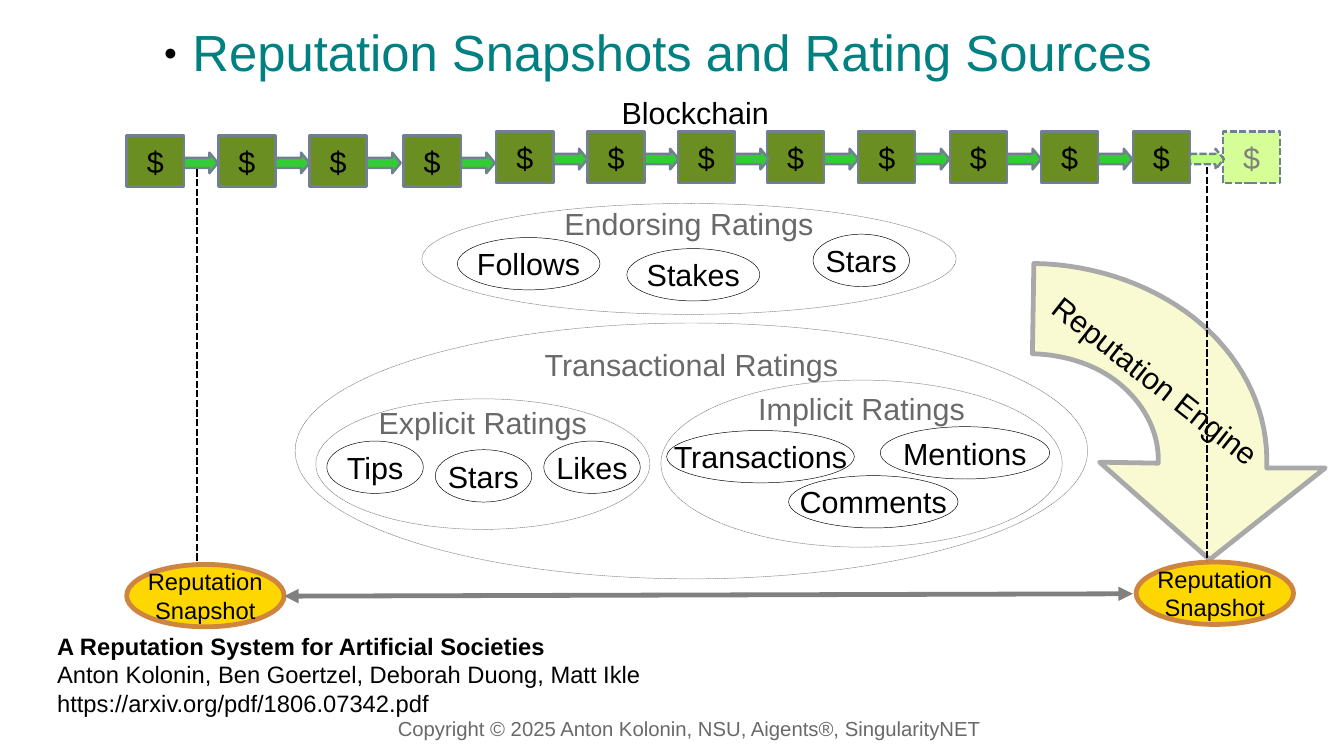
from lxml.etree import SubElement
from pptx import Presentation
from pptx.dml.color import RGBColor
from pptx.enum.dml import MSO_LINE_DASH_STYLE as Dash
from pptx.enum.shapes import MSO_CONNECTOR as Connector, MSO_SHAPE as Preset
from pptx.enum.text import MSO_ANCHOR as Anchor, MSO_AUTO_SIZE as AutoSize, PP_ALIGN as Align
from pptx.oxml.ns import qn
from pptx.util import Cm, Pt

TITLE = "Reputation Snapshots and Rating Sources"
CITATION = [
    "A Reputation System for Artificial Societies",
    "Anton Kolonin, Ben Goertzel, Deborah Duong, Matt Ikle",
    "https://arxiv.org/pdf/1806.07342.pdf",
]
COPYRIGHT = "Copyright © 2025 Anton Kolonin, NSU, Aigents®, SingularityNET"

# All positions and sizes are in centimetres.
BLOCK_LEFTS = [2.64, 4.55, 6.45, 8.41, 10.34, 12.24, 14.12,
               15.98, 17.88, 19.79, 21.69, 23.6, 25.48]
BLOCK_WIDTH, BLOCK_HEIGHT = 1.19, 1.07
LOWER_BLOCKS, LOWER_TOP, UPPER_TOP = 4, 2.82, 2.74
LINK_WIDTH, LINK_HEIGHT, LINK_DROP = 0.71, 0.43, 0.36

RATING_GROUPS = [  # label, left, top, width, height
    ("Endorsing Ratings", 8.79, 4.24, 11.13, 2.31),
    ("Transactional Ratings", 6.15, 6.73, 16.51, 5.33),
    ("Explicit Ratings", 6.58, 8.31, 6.96, 2.72),
    ("Implicit Ratings", 13.77, 7.92, 8.36, 3.48),
]
RATING_HEIGHT = 1.09
RATINGS = [  # label, left, top, width
    ("Follows", 9.53, 4.95, 2.97),
    ("Stakes", 13.06, 5.18, 2.77),
    ("Stars", 16.94, 4.88, 2.01),
    ("Tips", 6.81, 9.19, 2.01),
    ("Stars", 9.07, 9.37, 2.01),
    ("Likes", 11.33, 9.19, 2.01),
    ("Transactions", 13.89, 8.97, 3.91),
    ("Mentions", 18.34, 8.89, 3.53),
    ("Comments", 16.43, 9.91, 3.53),
]
SNAPSHOTS = [(2.64, 11.76), (23.67, 11.71)]
SNAPSHOT_LINES = [(4.11, 3.53, 4.11, 11.73), (25.15, 3.48, 25.15, 11.68)]
SNAPSHOT_SPAN = (5.92, 12.42, 23.6, 12.37)

# One point is a straight side; three points are a cubic curve.
ENGINE_START = (24.13, 9.65)
ENGINE_SIDES = [
    [(24.16, 9.07), (23.88, 8.48), (23.39, 8.05)],
    [(22.91, 7.62), (22.22, 7.39), (21.51, 7.37)],
    [(21.54, 5.49)],
    [(22.86, 5.51), (24.13, 5.97), (25.04, 6.76)],
    [(25.96, 7.57), (26.44, 8.64), (26.39, 9.75)],
    [(27.61, 9.75)],
    [(25.2, 11.66)],
    [(22.91, 9.63)],
]
CURVE_STEPS = 16


def rgb(color):
    return RGBColor.from_string(color)


def style_line(line, color, width, dashed=False):
    line.color.rgb = rgb(color)
    line.width = Pt(width)
    if dashed:
        line.dash_style = Dash.SQUARE_DOT


def style_shape(shape, fill, line, width, dashed=False, alpha=None):
    shape.shadow.inherit = False
    if fill:
        shape.fill.solid()
        shape.fill.fore_color.rgb = rgb(fill)
    else:
        shape.fill.background()
    if alpha:
        solid = shape._element.spPr.find(qn("a:solidFill"))
        SubElement(solid[0], qn("a:alpha"), val=str(alpha * 1000))
    style_line(shape.line, line, width, dashed)


def write(shape, lines, size=18, color="000000", align=Align.CENTER, anchor=Anchor.MIDDLE,
          margins=(0, 0, 0, 0), wrap=False, after=0):
    """Fill the shape with one paragraph per line; margins run left, top, right, bottom."""
    frame = shape.text_frame
    frame.auto_size = AutoSize.NONE
    frame.word_wrap = wrap
    frame.vertical_anchor = anchor
    (frame.margin_left, frame.margin_top,
     frame.margin_right, frame.margin_bottom) = map(Cm, margins)
    frame.text = "\n".join(lines)
    for paragraph in frame.paragraphs:
        paragraph.alignment = align
        paragraph.space_after = Pt(after)
        paragraph.font.name = "Arial"
        paragraph.font.size = Pt(size)
        paragraph.font.color.rgb = rgb(color)
    return frame


def add_preset(slide, preset, *box):
    return slide.shapes.add_shape(preset, *map(Cm, box))


def add_label(slide, box, lines, **options):
    label = slide.shapes.add_textbox(*map(Cm, box))
    write(label, lines, **options)
    return label


def add_line(slide, ends, color, width, dashed=False):
    connector = slide.shapes.add_connector(Connector.STRAIGHT, *map(Cm, ends))
    style_line(connector.line, color, width, dashed)
    SubElement(connector._element.spPr, qn("a:effectLst"))
    return connector


def curve_points(start, first, second, end):
    for step in range(1, CURVE_STEPS + 1):
        t = step / CURVE_STEPS
        weights = ((1 - t) ** 3, 3 * t * (1 - t) ** 2, 3 * t * t * (1 - t), t ** 3)
        yield tuple(sum(w * point[axis] for w, point in zip(weights, (start, first, second, end)))
                    for axis in (0, 1))


def add_title(slide):
    title = slide.shapes.title
    title.left, title.top, title.width, title.height = map(Cm, (-0.41, -0.03, 27.99, 2.29))
    frame = write(title, [TITLE], 30, "008080", margins=(0.25, 0.18, 0, 0.13), wrap=True)
    paragraph = frame.paragraphs[0]
    paragraph.line_spacing = 0.93
    properties = paragraph._p.get_or_add_pPr()
    properties.set("marL", str(Cm(0.6)))
    properties.set("indent", str(Cm(-0.6)))
    bullet_color = properties.makeelement(qn("a:buClr"))
    SubElement(bullet_color, qn("a:srgbClr"), val="000000")
    bullet = [bullet_color,
              properties.makeelement(qn("a:buSzPct"), val="45000"),
              properties.makeelement(qn("a:buFont"), typeface="Arial"),
              properties.makeelement(qn("a:buChar"), char="●")]
    for old in properties.findall(qn("a:buNone")):
        properties.remove(old)
    for element in bullet:
        properties.find(qn("a:defRPr")).addprevious(element)


def add_engine(slide):
    points = [ENGINE_START]
    for side in ENGINE_SIDES:
        points += curve_points(points[-1], *side) if len(side) == 3 else side
    corners = [(Cm(x), Cm(y)) for x, y in points]
    builder = slide.shapes.build_freeform(*corners[0])
    builder.add_line_segments(corners[1:], close=True)
    style_shape(builder.convert_to_shape(), "FAFAD2", "A9A9A9", 2.83)


def add_blockchain(slide):
    last = len(BLOCK_LEFTS) - 1
    tops = [LOWER_TOP if i < LOWER_BLOCKS else UPPER_TOP for i in range(last + 1)]
    for i, (left, top) in enumerate(zip(BLOCK_LEFTS, tops)):
        pending = i == last
        block = add_preset(slide, Preset.RECTANGLE, left, top, BLOCK_WIDTH, BLOCK_HEIGHT)
        style_shape(block, "ADFF2F" if pending else "6B8E23", "708090", 1.42,
                    pending, 50 if pending else None)
        write(block, ["$"], color="808080" if pending else "000000",
              margins=(0.23, 0.1, 0.23, 0.1), after=11.3)
    for i, (left, top) in enumerate(zip(BLOCK_LEFTS[:-1], tops)):
        pending = i == last - 1
        link = add_preset(slide, Preset.RIGHT_ARROW, left + BLOCK_WIDTH, top + LINK_DROP,
                          LINK_WIDTH, LINK_HEIGHT)
        link.adjustments[1] = 0.41
        style_shape(link, "7FFF00" if pending else "32CD32", "708090", 1.42,
                    pending, 50 if pending else None)
    add_label(slide, (12.7, 1.83, 3.58, 0.97), ["Blockchain"], align=Align.LEFT,
              anchor=Anchor.TOP, margins=(0.25, 0.13, 0.25, 0.13))


def add_snapshots(slide):
    for left, top in SNAPSHOTS:
        snapshot = add_preset(slide, Preset.OVAL, left, top, 3.28, 1.3)
        style_shape(snapshot, "FFD700", "CD853F", 2.83)
        write(snapshot, ["Reputation", "Snapshot"], 14, margins=(0.25, 0.13, 0.25, 0.13))
    for ends in SNAPSHOT_LINES:
        add_line(slide, ends, "000000", 1.42, dashed=True)
    span = add_line(slide, SNAPSHOT_SPAN, "808080", 2.83)
    for end in ("a:headEnd", "a:tailEnd"):
        SubElement(span.line._get_or_add_ln(), qn(end), type="triangle")


def add_ratings(slide):
    for label, *box in RATING_GROUPS:
        group = add_preset(slide, Preset.OVAL, *box)
        style_shape(group, None, "808080", 0.28, dashed=True)
        write(group, [label], color="696969", anchor=Anchor.TOP,
              margins=(0, -0.3, 0, 0), after=11.3)
    for label, *box in RATINGS:
        rating = add_preset(slide, Preset.OVAL, *box, RATING_HEIGHT)
        style_shape(rating, None, "000000", 0.28)
        write(rating, [label], after=11.3)


def main():
    presentation = Presentation()
    presentation.slide_width, presentation.slide_height = Cm(28), Cm(15.75)
    slide = presentation.slides.add_slide(presentation.slide_layouts[5])
    add_title(slide)
    add_engine(slide)
    citation = add_label(slide, (0.94, 13.03, 14.25, 2.39), CITATION, size=14, align=Align.LEFT,
                         anchor=Anchor.TOP, margins=(0.25, 0.13, 0.25, 0.13), wrap=True)
    citation.text_frame.paragraphs[0].font.bold = True
    add_blockchain(slide)
    add_snapshots(slide)
    add_ratings(slide)
    engine_label = add_label(slide, (21.23, 7.42, 5.72, 0.97), ["Reputation Engine"],
                             align=Align.LEFT, anchor=Anchor.TOP,
                             margins=(0.25, 0.13, 0.25, 0.13))
    engine_label.rotation = 38.3
    add_label(slide, (4.27, 14.73, 20.19, 0.71), [COPYRIGHT], size=12, color="696969",
              anchor=Anchor.BOTTOM, wrap=True)
    presentation.save("out.pptx")


if __name__ == "__main__":
    main()
